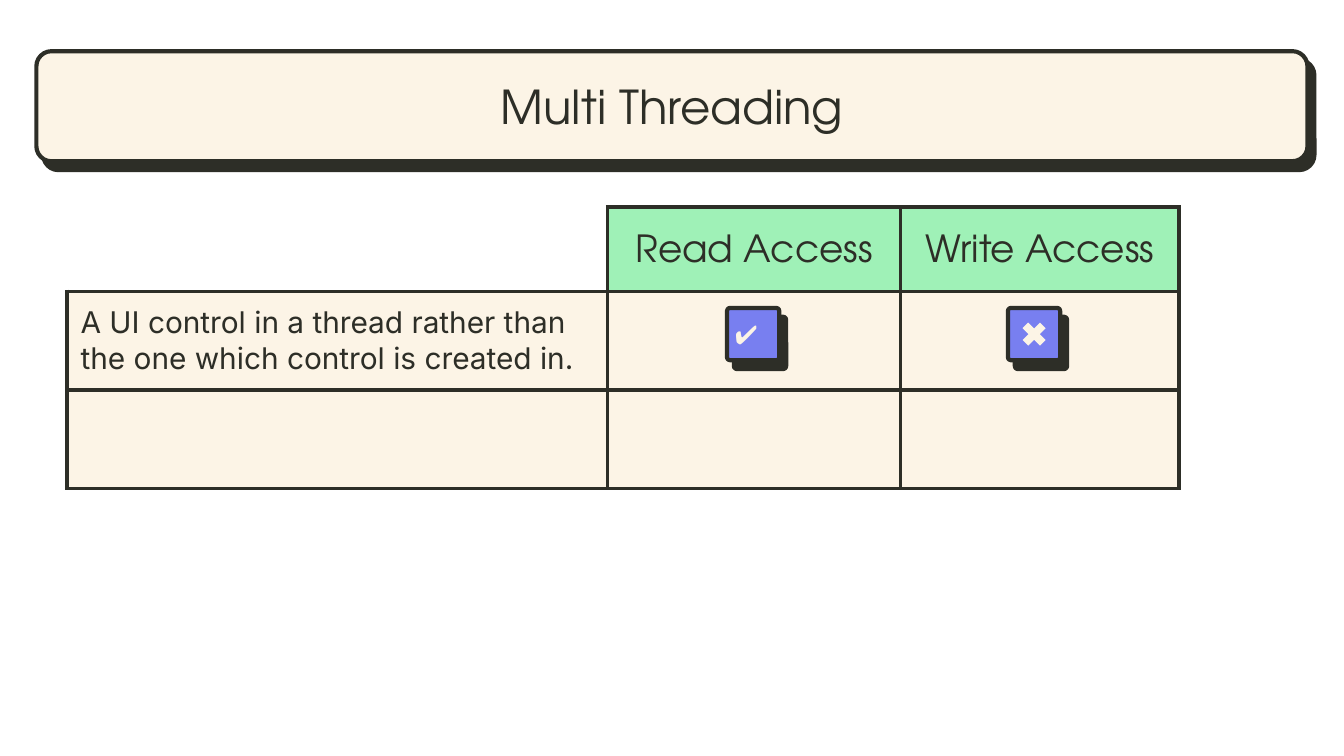
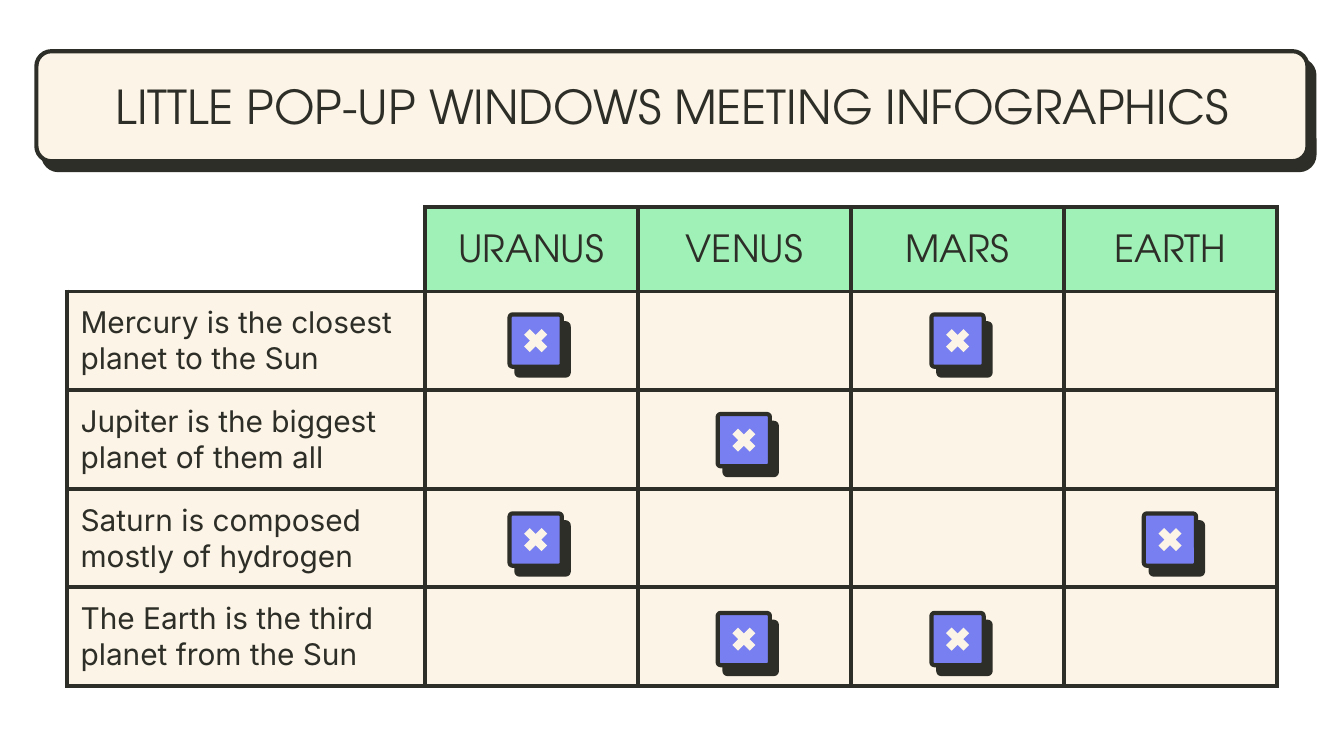
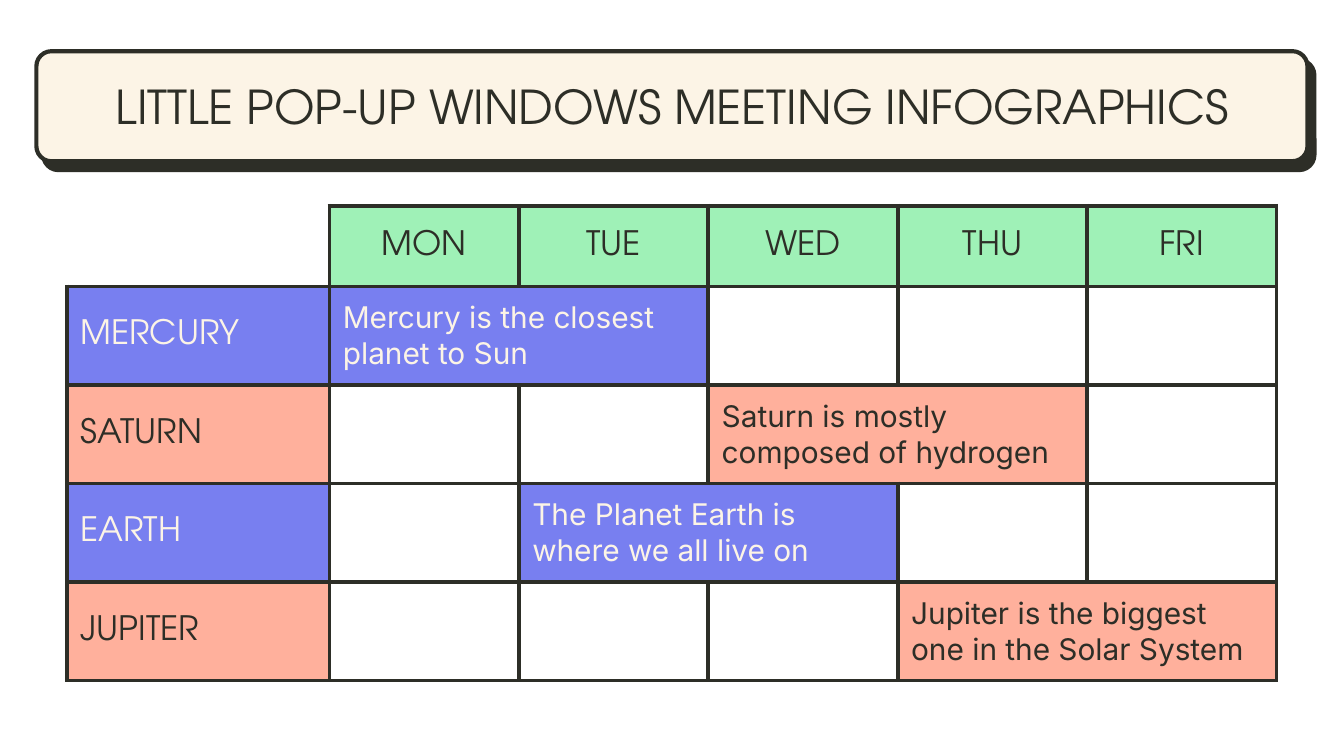
from dataclasses import dataclass
from typing import Optional

from lxml import etree
from pptx import Presentation
from pptx import util as u
from pptx.dml import color
from pptx.enum import shapes, text
from pptx.oxml import ns

COLORS = {
    "ink": "2D2E27",
    "cream": "FCF4E6",
    "green": "9FF1B7",
    "violet": "787FF0",
    "coral": "FFB09C",
    "white": "FFFFFF",
}
HEADING_FONT = "TeX Gyre Adventor"
BODY_FONT = "Inter"
LINE_WIDTH = 2.25
SHADOW_DISTANCE = 6
SHADOW_ANGLE = 52
TABLE_LEFT = 36
ROW_HEIGHT = 52.8
MARKER_SIZE = 28
CROSS_SIZE = 18


@dataclass(frozen=True)
class Box:
    left: float
    top: float
    width: float
    height: float

    def lengths(self) -> tuple:
        return tuple(u.Pt(value) for value in (self.left, self.top, self.width, self.height))


@dataclass(frozen=True)
class TextStyle:
    font: str
    size: float
    color: str = "ink"
    bold: bool = False
    centered: bool = False
    middle: bool = False
    spacing: Optional[float] = None


@dataclass(frozen=True)
class Cell:
    words: str = ""
    fill: Optional[str] = None
    style: Optional[TextStyle] = None
    span: int = 1
    corner: bool = False


@dataclass(frozen=True)
class Grid:
    top: float
    columns: list[float]
    header_height: float
    rows: list[list[Cell]]


BANNER = Box(19.5, 27.4, 681, 59)
TITLE_BOX = Box(36, 32.4, 648, 49)
TITLE = TextStyle(HEADING_FONT, 25, centered=True, middle=True)
ACCESS_HEADER = TextStyle(HEADING_FONT, 20, centered=True, middle=True, spacing=1.15)
DAY_HEADER = TextStyle(HEADING_FONT, 18, centered=True, middle=True)
BODY = TextStyle(BODY_FONT, 16)
TICK = TextStyle("Arial", 14, "cream", bold=True)
CORNER = Cell(corner=True)


def rgb(name: str) -> color.RGBColor:
    return color.RGBColor.from_string(COLORS[name])


def add_color(parent, name: str) -> None:
    fill = etree.SubElement(parent, ns.qn("a:solidFill"))
    etree.SubElement(fill, ns.qn("a:srgbClr"), val=COLORS[name])


def write(frame, words: str, style: TextStyle) -> None:
    paragraph = frame.paragraphs[0]
    paragraph.alignment = text.PP_ALIGN.CENTER if style.centered else text.PP_ALIGN.LEFT
    if style.spacing:
        paragraph.line_spacing = style.spacing
    run = paragraph.add_run()
    run.text = words
    run.font.name = style.font
    run.font.size = u.Pt(style.size)
    run.font.bold = style.bold
    run.font.color.rgb = rgb(style.color)


def add_text(slide, box: Box, words: str, style: TextStyle):
    shape = slide.shapes.add_textbox(*box.lengths())
    frame = shape.text_frame
    frame.word_wrap = True
    if style.middle:
        frame.vertical_anchor = text.MSO_ANCHOR.MIDDLE
    write(frame, words, style)
    return frame


def add_plain(parent, kind, box: Box, fill: str, adjustment: float):
    shape = parent.shapes.add_shape(kind, *box.lengths())
    shape.adjustments[0] = adjustment
    shape.fill.solid()
    shape.fill.fore_color.rgb = rgb(fill)
    shape.line.fill.background()
    shape.shadow.inherit = False
    return shape


def add_window(parent, box: Box, fill: str, adjustment: float) -> None:
    shape = add_plain(parent, shapes.MSO_SHAPE.ROUNDED_RECTANGLE, box, fill, adjustment)
    shape.line.color.rgb = rgb("ink")
    shape.line.width = u.Pt(LINE_WIDTH)
    effects = shape._element.spPr.find(ns.qn("a:effectLst"))
    shadow = etree.SubElement(
        effects,
        ns.qn("a:outerShdw"),
        dist=str(u.Pt(SHADOW_DISTANCE)),
        dir=str(SHADOW_ANGLE * 60000),
        algn="bl",
        rotWithShape="0",
    )
    etree.SubElement(shadow, ns.qn("a:srgbClr"), val=COLORS["ink"])


def add_marker(parent, left: float, top: float) -> None:
    add_window(parent, Box(left, top, MARKER_SIZE, MARKER_SIZE), "violet", 0.057)


def add_cross(slide, left: float, top: float) -> None:
    group = slide.shapes.add_group_shape()
    add_marker(group, left, top)
    inset = (MARKER_SIZE - CROSS_SIZE) / 2
    box = Box(left + inset, top + inset, CROSS_SIZE, CROSS_SIZE)
    add_plain(group, shapes.MSO_SHAPE.MATH_MULTIPLY, box, "cream", 0.235)


def set_borders(table_cell, corner: bool) -> None:
    properties = table_cell._tc.get_or_add_tcPr()
    for side in ("lnL", "lnR", "lnT", "lnB"):
        line = etree.SubElement(properties, ns.qn(f"a:{side}"), w=str(u.Pt(LINE_WIDTH)))
        if corner and side in ("lnL", "lnT"):
            etree.SubElement(line, ns.qn("a:noFill"))
        else:
            add_color(line, "ink")


def format_cell(table_cell, cell: Cell) -> None:
    set_borders(table_cell, cell.corner)
    if cell.fill:
        table_cell.fill.solid()
        table_cell.fill.fore_color.rgb = rgb(cell.fill)
    else:
        table_cell.fill.background()
    if cell.style:
        table_cell.margin_left = table_cell.margin_right = u.Pt(7.2)
        table_cell.margin_top = table_cell.margin_bottom = u.Pt(7.2)
        if cell.style.middle:
            table_cell.vertical_anchor = text.MSO_ANCHOR.MIDDLE
        write(table_cell.text_frame, cell.words, cell.style)


def add_grid(slide, grid: Grid) -> None:
    heights = [grid.header_height] + [ROW_HEIGHT] * (len(grid.rows) - 1)
    box = Box(TABLE_LEFT, grid.top, sum(grid.columns), sum(heights))
    table = slide.shapes.add_table(len(heights), len(grid.columns), *box.lengths()).table
    table.first_row = False
    table.horz_banding = False
    for column, width in zip(table.columns, grid.columns):
        column.width = u.Pt(width)
    for row, height in zip(table.rows, heights):
        row.height = u.Pt(height)
    for row_index, cells in enumerate(grid.rows):
        column_index = 0
        for cell in cells:
            last = column_index + cell.span - 1
            format_cell(table.cell(row_index, column_index), cell)
            for covered in range(column_index + 1, last + 1):
                format_cell(table.cell(row_index, covered), Cell(fill=cell.fill))
            if cell.span > 1:
                table.cell(row_index, column_index).merge(table.cell(row_index, last))
            column_index = last + 1


def header_row(names: list[str], style: TextStyle) -> list[Cell]:
    return [CORNER] + [Cell(name, "green", style) for name in names]


def checklist_grid(columns: list[float], names: list[str], statements: list[str]) -> Grid:
    rows = [header_row(names, ACCESS_HEADER)]
    for statement in statements:
        label = Cell(statement, "cream", BODY if statement else None)
        rows.append([label] + [Cell(fill="cream")] * len(names))
    return Grid(111, columns, 45.2, rows)


def schedule_row(planet: str, fact: str, start: int, fill: str, ink: str, days: int) -> list[Cell]:
    label = Cell(planet, fill, TextStyle(HEADING_FONT, 18, ink, middle=True))
    event = Cell(fact, fill, TextStyle(BODY_FONT, 16, ink), span=2)
    return [label] + [Cell()] * start + [event] + [Cell()] * (days - start - event.span)


def add_titled_slide(presentation, title: str):
    slide = presentation.slides.add_slide(presentation.slide_layouts[6])
    slide.background.fill.solid()
    slide.background.fill.fore_color.rgb = rgb("white")
    add_window(slide, BANNER, "cream", 0.138)
    frame = add_text(slide, TITLE_BOX, title, TITLE)
    frame.margin_left = frame.margin_right = frame.margin_top = frame.margin_bottom = u.Pt(0)
    return slide


def build_threading(presentation) -> None:
    slide = add_titled_slide(presentation, "Multi Threading")
    statement = "A UI control in a thread rather than the one which control is created in."
    names = ["Read Access", "Write Access"]
    add_grid(slide, checklist_grid([289.5, 157, 149], names, [statement, ""]))
    marker_top = 165
    add_marker(slide, 389.5, marker_top)
    add_cross(slide, 540, marker_top)
    add_text(slide, Box(386.6, 167, 28, 24.5), "✔", TICK)


def build_checklist(presentation, title: str) -> None:
    slide = add_titled_slide(presentation, title)
    names = ["URANUS", "VENUS", "MARS", "EARTH"]
    statements = [
        "Mercury is the closest planet to the Sun",
        "Jupiter is the biggest planet of them all",
        "Saturn is composed mostly of hydrogen",
        "The Earth is the third planet from the Sun",
    ]
    add_grid(slide, checklist_grid([191.6] + [114.1] * len(names), names, statements))
    marker_lefts = [273, 384.5, 499, 612.8]
    checked = [(0, 0), (0, 2), (1, 1), (2, 0), (2, 3), (3, 1), (3, 2)]
    for row, column in checked:
        add_cross(slide, marker_lefts[column], 168.5 + 53.3 * row)


def build_schedule(presentation, title: str) -> None:
    slide = add_titled_slide(presentation, title)
    days = ["MON", "TUE", "WED", "THU", "FRI"]
    events = [
        ("MERCURY", "Mercury is the closest planet to Sun", 0),
        ("SATURN", "Saturn is mostly composed of hydrogen", 2),
        ("EARTH", "The Planet Earth is where we all live on", 1),
        ("JUPITER", "Jupiter is the biggest one in the Solar System", 3),
    ]
    palette = [("violet", "cream"), ("coral", "ink")]
    rows = [header_row(days, DAY_HEADER)]
    for index, (planet, fact, start) in enumerate(events):
        fill, ink = palette[index % 2]
        rows.append(schedule_row(planet, fact, start, fill, ink, len(days)))
    add_grid(slide, Grid(110.2, [140.5] + [101.5] * len(days), 43.2, rows))


def main() -> None:
    presentation = Presentation()
    presentation.slide_width = u.Pt(720)
    presentation.slide_height = u.Pt(405)
    infographic_title = "LITTLE POP-UP WINDOWS MEETING INFOGRAPHICS"
    build_threading(presentation)
    build_checklist(presentation, infographic_title)
    build_schedule(presentation, infographic_title)
    presentation.save("out.pptx")


if __name__ == "__main__":
    main()
